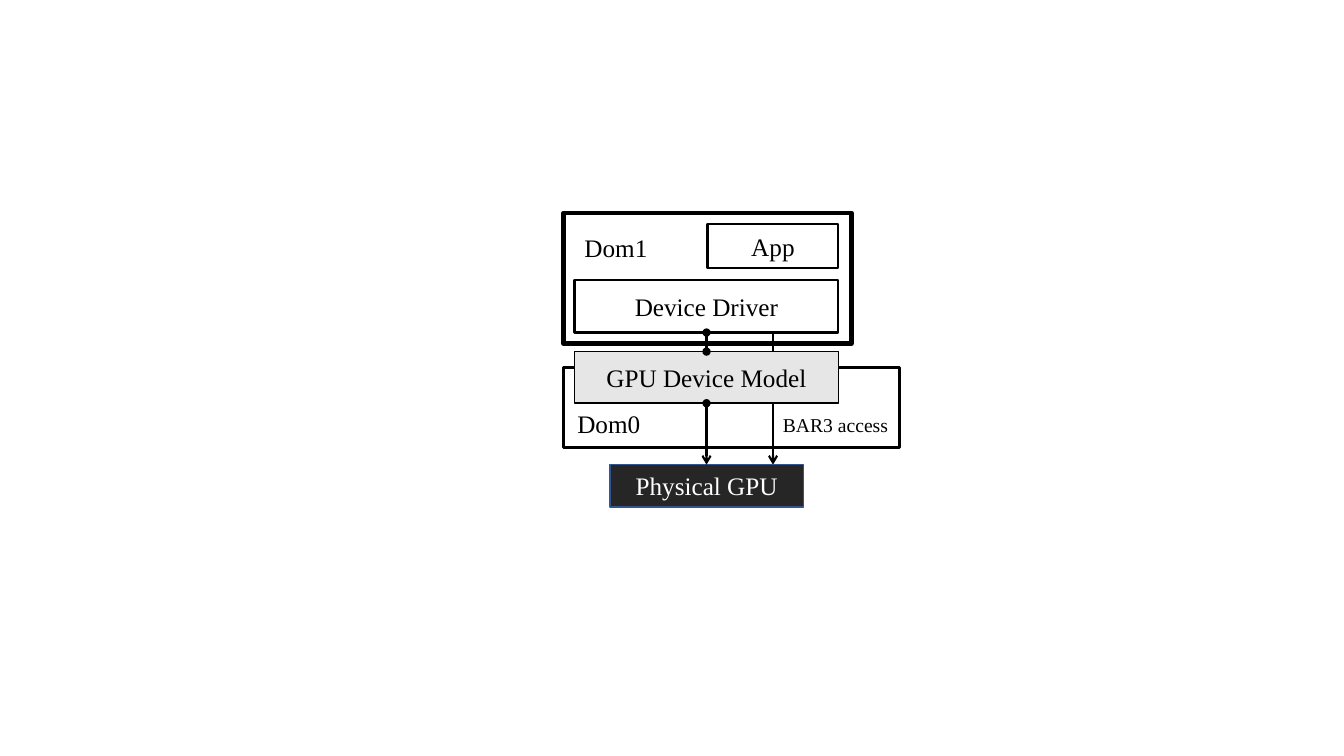
"""Draw the GPU virtualization stack from the guest domain down to the hardware."""
from dataclasses import dataclass
from typing import Any, Optional

from lxml import etree
from pptx import Presentation
from pptx import util as u
from pptx.dml.color import RGBColor
from pptx.enum import shapes, text
from pptx.oxml.ns import qn

COLOURS = {
    "black": "000000",
    "white": "FFFFFF",
    "grey": "E7E6E6",
    "dark": "262626",
    "blue": "325491",
}
FONT = "Times New Roman"
INNER_LEFT, INNER_WIDTH = 14.48, 6.65
DRIVER_TOP, DRIVER_HEIGHT = 7.06, 1.32
MODEL_TOP, MODEL_HEIGHT = 8.86, 1.3
DRIVER_BOTTOM = DRIVER_TOP + DRIVER_HEIGHT
MODEL_BOTTOM = MODEL_TOP + MODEL_HEIGHT
GPU_TOP = 11.71
CENTRE = INNER_LEFT + INNER_WIDTH / 2
BYPASS = 19.48


@dataclass(frozen=True)
class Box:
    left: float
    top: float
    width: float
    height: float
    caption: str = ""
    weight: float = 1.5
    fill: Optional[str] = None
    outline: str = "black"
    ink: str = "black"


@dataclass(frozen=True)
class Label:
    left: float
    top: float
    width: float
    height: float
    caption: str
    size: int = 18


@dataclass(frozen=True)
class Link:
    x: float
    top: float
    bottom: float
    head: str
    tail: str


def colour(name: str) -> RGBColor:
    return RGBColor.from_string(COLOURS[name])


def assign(target: Any, values: dict[str, Any]) -> None:
    for name, value in values.items():
        setattr(target, name, value)


def write(shape: Any, caption: str, size: int, ink: str, align: Any) -> None:
    paragraph = shape.text_frame.paragraphs[0]
    paragraph.alignment = align
    run = paragraph.add_run()
    run.text = caption
    assign(run.font, {"name": FONT, "size": u.Pt(size)})
    run.font.color.rgb = colour(ink)


def draw_box(container: Any, box: Box) -> None:
    bounds = map(u.Cm, (box.left, box.top, box.width, box.height))
    shape = container.add_shape(shapes.MSO_SHAPE.RECTANGLE, *bounds)
    shape.shadow.inherit = False
    if box.fill:
        shape.fill.solid()
        shape.fill.fore_color.rgb = colour(box.fill)
    else:
        shape.fill.background()
    shape.line.color.rgb = colour(box.outline)
    shape.line.width = u.Pt(box.weight)
    if box.caption:
        shape.text_frame.vertical_anchor = text.MSO_ANCHOR.MIDDLE
        write(shape, box.caption, 18, box.ink, text.PP_ALIGN.CENTER)


def draw_label(container: Any, label: Label) -> None:
    bounds = map(u.Cm, (label.left, label.top, label.width, label.height))
    shape = container.add_textbox(*bounds)
    assign(shape.text_frame, {
        "word_wrap": False,
        "auto_size": text.MSO_AUTO_SIZE.SHAPE_TO_FIT_TEXT,
    })
    write(shape, label.caption, label.size, "black", text.PP_ALIGN.LEFT)


def draw_link(container: Any, link: Link) -> None:
    ends = map(u.Cm, (link.x, link.top, link.x, link.bottom))
    connector = container.add_connector(shapes.MSO_CONNECTOR.STRAIGHT, *ends)
    connector.line.color.rgb = colour("black")
    connector.line.width = u.Pt(1.5)
    properties = connector._element.spPr
    line = properties.find(qn("a:ln"))
    for tag, kind in (("a:headEnd", link.head), ("a:tailEnd", link.tail)):
        etree.SubElement(line, qn(tag), type=kind)
    etree.SubElement(properties, qn("a:effectLst"))


GUEST = [
    Box(14.2, 5.36, 7.26, 3.3, weight=3),
    Box(17.83, 5.64, 3.3, 1.12, "App"),
    Box(INNER_LEFT, DRIVER_TOP, INNER_WIDTH, DRIVER_HEIGHT, "Device Driver"),
]
HOST = [
    Label(INNER_LEFT, 5.72, 2.11, 1.02, "Dom1"),
    Box(14.2, 9.27, 8.46, 2.01, weight=2.25),
    Link(BYPASS, DRIVER_BOTTOM, GPU_TOP, "none", "arrow"),
    Box(INNER_LEFT, MODEL_TOP, INNER_WIDTH, MODEL_HEIGHT, "GPU Device Model",
        weight=1, fill="grey"),
    Box(15.37, GPU_TOP, 4.88, 1.07, "Physical GPU",
        weight=1, fill="dark", outline="blue", ink="white"),
    Link(CENTRE, MODEL_BOTTOM, GPU_TOP, "oval", "arrow"),
    Label(14.3, MODEL_BOTTOM, 2.11, 1.02, "Dom0"),
    Link(CENTRE, DRIVER_BOTTOM, MODEL_TOP, "oval", "oval"),
    Label(BYPASS, 10.29, 3.2, 0.86, "BAR3 access", size=14),
]
DRAWERS = {Box: draw_box, Label: draw_label, Link: draw_link}


def main() -> None:
    presentation = Presentation()
    assign(presentation, {"slide_width": u.Cm(33.87), "slide_height": u.Cm(19.05)})
    slide = presentation.slides.add_slide(presentation.slide_layouts[6])
    guest_group = slide.shapes.add_group_shape()
    for container, items in ((guest_group.shapes, GUEST), (slide.shapes, HOST)):
        for item in items:
            DRAWERS[type(item)](container, item)
    presentation.save("out.pptx")


main()
